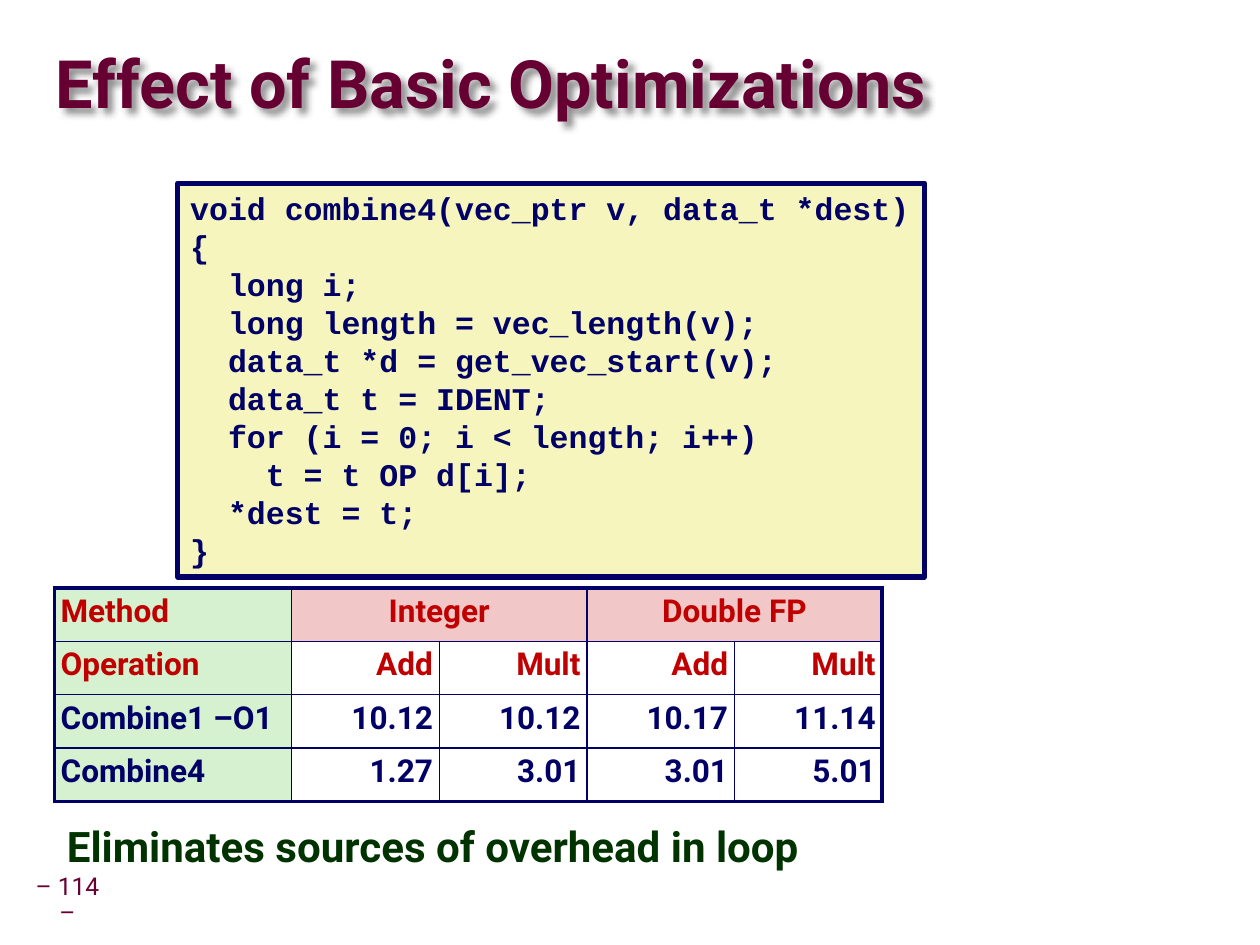
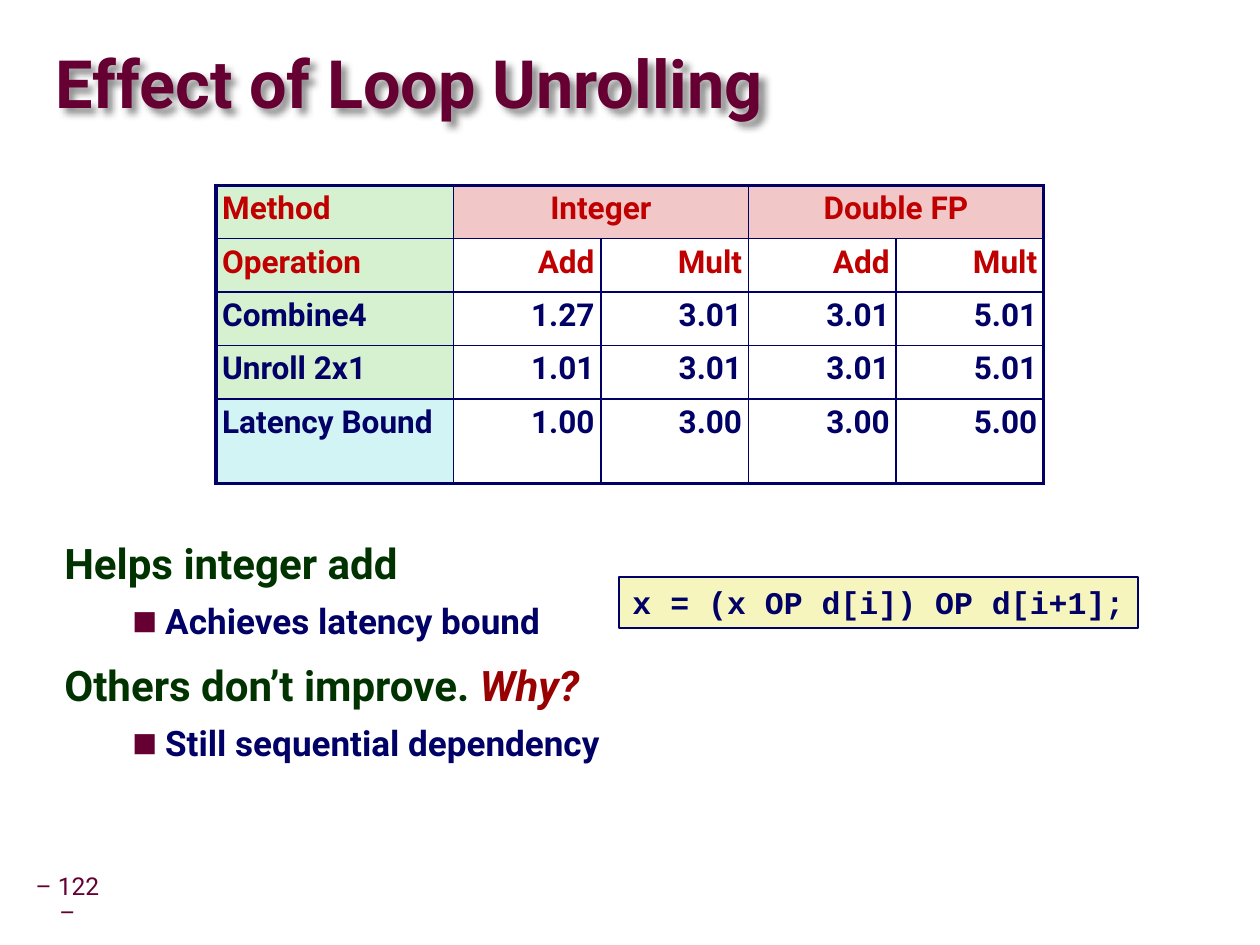
from lxml import etree
from pptx import Presentation
from pptx.dml.color import RGBColor
from pptx.enum.shapes import MSO_SHAPE
from pptx.enum.text import MSO_ANCHOR, MSO_AUTO_SIZE, PP_ALIGN
from pptx.oxml import parse_xml
from pptx.oxml.ns import qn
from pptx.util import Pt

RECTANGLE = MSO_SHAPE.RECTANGLE
TOP, MIDDLE = MSO_ANCHOR.TOP, MSO_ANCHOR.MIDDLE
LEFT, CENTER, RIGHT = PP_ALIGN.LEFT, PP_ALIGN.CENTER, PP_ALIGN.RIGHT
NO_AUTOFIT = MSO_AUTO_SIZE.NONE
DRAWING = "http://schemas.openxmlformats.org/drawingml/2006/main"

COLOURS = {
    "maroon": "660033", "navy": "000066", "green": "003300",
    "red": "C00000", "dark red": "990000", "code": "F6F5BD",
    "label": "D5F1CF", "group": "F1C7C7", "bound": "D2F4F4",
}
TEXT, CODE = "Roboto", "Courier New"
COLUMN_WIDTHS = [135.5] + [84.25] * 4
ROW_HEIGHT = 30.5
HEADER_ROWS = [
    ["Method", "Integer", "", "Double FP", ""],
    ["Operation", "Add", "Mult", "Add", "Mult"],
]
LEVELS = [
    {"size": 24, "left": 30, "indent": -30, "before": 12, "spacing": 0.95, "bullet": None},
    {"size": 20, "left": 57.6, "indent": -18.7, "before": 6, "spacing": 1.0, "bullet": "■"},
]
COMBINE4 = """void combine4(vec_ptr v, data_t *dest)
{
  long i;
  long length = vec_length(v);
  data_t *d = get_vec_start(v);
  data_t t = IDENT;
  for (i = 0; i < length; i++)
    t = t OP d[i];
  *dest = t;
}"""


def set_attributes(target, **values):
    for name, value in values.items():
        setattr(target, name, value)


def rgb(colour):
    return RGBColor.from_string(COLOURS[colour])


def place(shape, left, top, width, height):
    set_attributes(shape, left=Pt(left), top=Pt(top), width=Pt(width), height=Pt(height))


def format_frame(frame, horizontal=7.2, vertical=3.6, anchor=TOP, wrap=True):
    set_attributes(
        frame, auto_size=NO_AUTOFIT, word_wrap=wrap, vertical_anchor=anchor,
        margin_left=Pt(horizontal), margin_right=Pt(horizontal),
        margin_top=Pt(vertical), margin_bottom=Pt(vertical))


def add_run(paragraph, text, size, colour, font=TEXT, bold=True, italic=False):
    run = paragraph.add_run()
    run.text = text
    set_attributes(run.font, name=font, size=Pt(size), bold=bold, italic=italic)
    run.font.color.rgb = rgb(colour)


def add_title(slide, text):
    title = slide.shapes.title
    place(title, 31.7, 19.5, 685.5, 61)
    format_frame(title.text_frame, 0, 0, MIDDLE)
    paragraph = title.text_frame.paragraphs[0]
    set_attributes(paragraph, alignment=LEFT, line_spacing=0.87)
    add_run(paragraph, text, 38, "maroon")
    title._element.spPr.append(parse_xml(
        f'<a:effectLst xmlns:a="{DRAWING}"><a:outerShdw blurRad="{Pt(4)}" '
        f'dist="{Pt(4)}" dir="2700000" algn="tl"><a:srgbClr val="000000">'
        '<a:alpha val="43000"/></a:srgbClr></a:outerShdw></a:effectLst>'))


def add_page_number(slide, number):
    """Add the number in a box so narrow that the last dash wraps."""
    box = slide.shapes.add_textbox(Pt(14), Pt(502.5), Pt(49), Pt(23))
    format_frame(box.text_frame, 3.6, 3.6, MIDDLE)
    paragraph = box.text_frame.paragraphs[0]
    set_attributes(paragraph, alignment=CENTER, line_spacing=0.9)
    add_run(paragraph, f"– {number} –", 14, "maroon", bold=False)


def set_bullet(paragraph, level):
    properties = paragraph._p.get_or_add_pPr()
    properties.set("marL", str(Pt(level["left"])))
    properties.set("indent", str(Pt(level["indent"])))
    if not level["bullet"]:
        etree.SubElement(properties, qn("a:buNone"))
        return
    colour = etree.SubElement(properties, qn("a:buClr"))
    etree.SubElement(colour, qn("a:srgbClr"), val=COLOURS["maroon"])
    etree.SubElement(properties, qn("a:buSzPct"), val="75000")
    etree.SubElement(properties, qn("a:buFont"), typeface=TEXT)
    etree.SubElement(properties, qn("a:buChar"), char=level["bullet"])


def add_body(slide, bounds, items):
    """Fill the body; each item is a level and its (text, colour, italic) runs."""
    body = slide.placeholders[1]
    place(body, *bounds)
    frame = body.text_frame
    format_frame(frame)
    for index, (depth, runs) in enumerate(items):
        paragraph = frame.add_paragraph() if index else frame.paragraphs[0]
        level = LEVELS[depth]
        set_attributes(
            paragraph, level=depth, alignment=LEFT, line_spacing=level["spacing"],
            space_before=Pt(level["before"] if index else 0))
        set_bullet(paragraph, level)
        for text, colour, italic in runs:
            add_run(paragraph, text, level["size"], colour, italic=italic)


def add_code(slide, bounds, code, line_width, alignment=LEFT):
    shape = slide.shapes.add_shape(RECTANGLE, *map(Pt, bounds))
    shape.shadow.inherit = False
    shape.fill.solid()
    shape.fill.fore_color.rgb = rgb("code")
    shape.line.color.rgb = rgb("navy")
    shape.line.width = Pt(line_width)
    frame = shape.text_frame
    format_frame(frame, wrap=False)
    for index, line in enumerate(code.splitlines()):
        paragraph = frame.add_paragraph() if index else frame.paragraphs[0]
        set_attributes(paragraph, alignment=alignment, line_spacing=Pt(21.65))
        add_run(paragraph, line, 18, "navy", CODE)


def set_borders(cell, thick_edges):
    properties = cell._tc.get_or_add_tcPr()
    for edge in "LRTB":
        width = Pt(2.25 if edge in thick_edges else 1)
        line = etree.SubElement(properties, qn(f"a:ln{edge}"), w=str(width))
        fill = etree.SubElement(line, qn("a:solidFill"))
        etree.SubElement(fill, qn("a:srgbClr"), val=COLOURS["navy"])


def fill_colour(row, column, label):
    if column == 0:
        return "bound" if label == "Latency Bound" else "label"
    return "group" if row == 0 else None


def format_cell(cell, text, row, column, thick_edges, label):
    set_attributes(
        cell, vertical_anchor=TOP, margin_left=Pt(3.6), margin_right=Pt(3.6),
        margin_top=Pt(3.6), margin_bottom=Pt(3.6))
    set_borders(cell, thick_edges)
    colour = fill_colour(row, column, label)
    if colour:
        cell.fill.solid()
        cell.fill.fore_color.rgb = rgb(colour)
    else:
        cell.fill.background()
    if text:
        paragraph = cell.text_frame.paragraphs[0]
        alignment = LEFT if column == 0 else CENTER if row == 0 else RIGHT
        set_attributes(paragraph, alignment=alignment, line_spacing=0.95)
        add_run(paragraph, text, 18, "red" if row < len(HEADER_ROWS) else "navy")


def add_results(slide, left, top, results, last_height=ROW_HEIGHT):
    rows = HEADER_ROWS + results
    heights = [ROW_HEIGHT] * (len(rows) - 1) + [last_height]
    table = slide.shapes.add_table(
        len(rows), len(COLUMN_WIDTHS), Pt(left), Pt(top),
        Pt(sum(COLUMN_WIDTHS)), Pt(sum(heights))).table
    set_attributes(table, first_row=False, horz_banding=False)
    for column, width in zip(table.columns, COLUMN_WIDTHS):
        column.width = Pt(width)
    for row, height in zip(table.rows, heights):
        row.height = Pt(height)
    for first in (1, 3):
        table.cell(0, first).merge(table.cell(0, first + 1))
    last_row, last_column = len(rows) - 1, len(COLUMN_WIDTHS) - 1
    for row, texts in enumerate(rows):
        for column, text in enumerate(texts):
            cell = table.cell(row, column)
            right = column + (cell.span_width - 1 if cell.is_merge_origin else 0)
            outer = {"L": column == 0, "R": right == last_column,
                     "T": row == 0, "B": row == last_row}
            thick_edges = [edge for edge, is_outer in outer.items() if is_outer]
            format_cell(cell, text, row, column, thick_edges, texts[0])


def add_slide(presentation, title, number):
    slide = presentation.slides.add_slide(presentation.slide_layouts[1])
    add_title(slide, title)
    add_page_number(slide, number)
    return slide


def main():
    presentation = Presentation()
    set_attributes(presentation, slide_width=Pt(719.3), slide_height=Pt(539.3))
    combine4 = ["Combine4", "1.27", "3.01", "3.01", "5.01"]

    slide = add_slide(presentation, "Effect of Basic Optimizations", 114)
    add_body(slide, (31, 466.5, 620.5, 42.5), [
        (0, [("Eliminates sources of overhead in loop", "green", False)]),
    ])
    add_code(slide, (101.5, 104.5, 426.25, 224.75), COMBINE4, 3)
    add_results(slide, 31, 335.5, [
        ["Combine1 –O1", "10.12", "10.12", "10.17", "11.14"],
        combine4,
    ])

    slide = add_slide(presentation, "Effect of Loop Unrolling", 122)
    add_body(slide, (29.5, 305.25, 653, 209.5), [
        (0, [("Helps integer add", "green", False)]),
        (1, [("Achieves latency bound", "navy", False)]),
        (0, [("Others don’t improve. ", "green", False), ("Why?", "dark red", True)]),
        (1, [("Still sequential dependency", "navy", False)]),
    ])
    add_code(slide, (353.5, 329.25, 296, 29), "x = (x OP d[i]) OP d[i+1];", 1, CENTER)
    add_results(slide, 123.25, 105.75, [
        combine4,
        ["Unroll 2x1", "1.01", "3.01", "3.01", "5.01"],
        ["Latency Bound", "1.00", "3.00", "3.00", "5.00"],
    ], 48.25)

    presentation.save("out.pptx")


if __name__ == "__main__":
    main()
